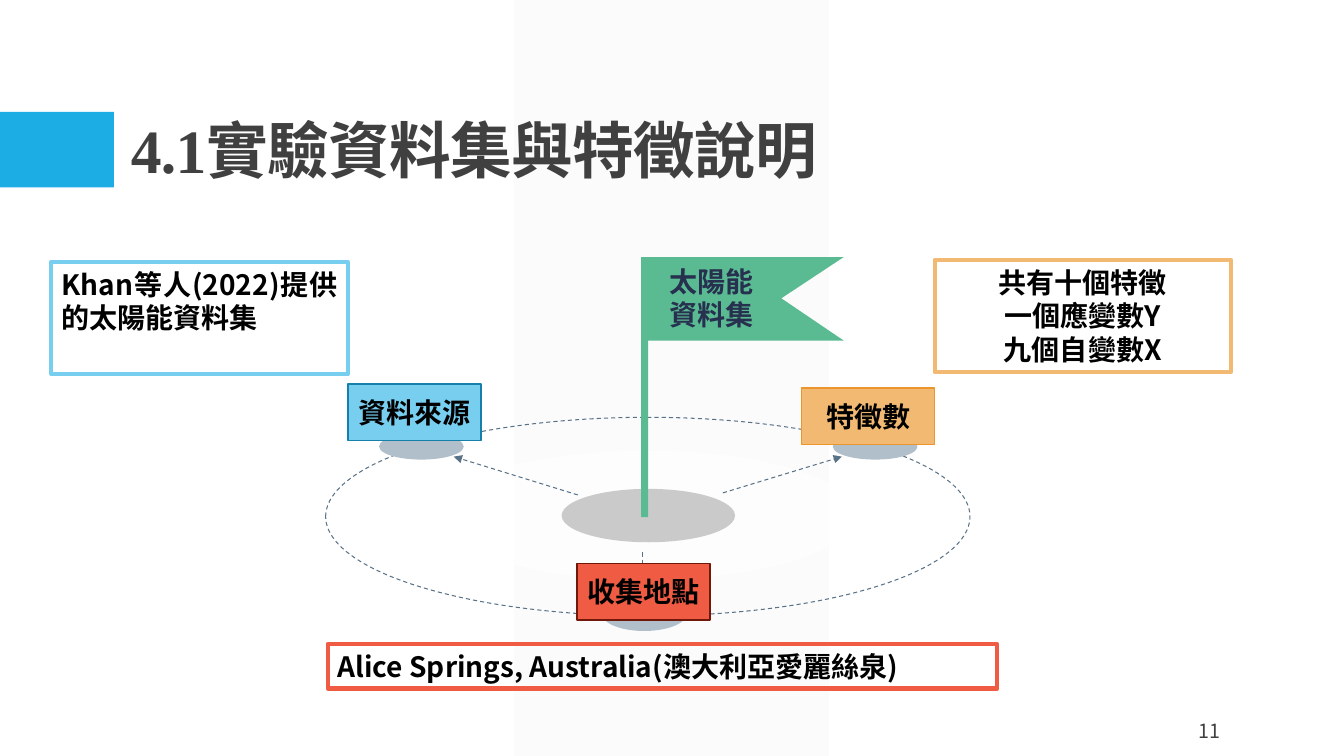
from lxml import etree
from pptx import Presentation
from pptx.dml.color import RGBColor
from pptx.enum.dml import MSO_LINE
from pptx.enum.shapes import MSO_CONNECTOR, MSO_SHAPE
from pptx.enum.text import MSO_ANCHOR, PP_ALIGN
from pptx.oxml.ns import qn
from pptx.util import Inches, Pt

RECT, OVAL = MSO_SHAPE.RECTANGLE, MSO_SHAPE.OVAL
LEFT, MID, RIGHT, JUST = PP_ALIGN.LEFT, PP_ALIGN.CENTER, PP_ALIGN.RIGHT, PP_ALIGN.JUSTIFY
TOP, CENTER, BASE = MSO_ANCHOR.TOP, MSO_ANCHOR.MIDDLE, MSO_ANCHOR.BOTTOM
SANS, SERIF = "Noto Sans CJK SC", "Times New Roman"

HUES = {
    "band": "F2F2F2", "accent": "1CADE4", "title": "404040", "ink": "000000",
    "ring": "597287", "white": "FFFFFF", "gray": "999999", "dot": "B1BFCB",
    "flag": "5ABB93", "navy": "27304E",
    "blue": "77CEEF", "teal": "1580A9", "sand": "F2B973", "amber": "EC952C",
    "red": "EF5B43", "wine": "70190A",
}
TITLE = "4.1實驗資料集與特徵說明"
PAGE = "11"
FLAG = ["太陽能", "資料集"]
NOTES = [
    ((9.27, 2.58, 2.94, 1.11), "sand", MID, ["共有十個特徵", "一個應變數Y", "九個自變數X"]),
    ((3.25, 6.39, 6.64, 0.44), "red", JUST, ["Alice Springs, Australia(澳大利亞愛麗絲泉)"]),
    ((0.51, 2.6, 2.94, 1.11), "blue", JUST, ["Khan等人(2022)提供的太陽能資料集"]),
]
LABELS = [
    ((3.45, 3.81), "blue", "teal", "資料來源"),
    ((7.95, 3.85), "sand", "amber", "特徵數"),
    ((5.72, 5.59), "red", "wine", "收集地點"),
]
LABEL_SIZE = (1.32, 0.56)
DISCS = [
    ((4.34, 4.47, 4.15, 1.28), "white", 70),
    ((5.57, 4.85, 1.72, 0.53), "gray", 50),
    ((3.76, 4.3, 0.84, 0.26), "dot", 100),
    ((5.97, 5.92, 0.84, 0.34), "dot", 100),
    ((8.26, 4.3, 0.84, 0.26), "dot", 100),
]
ARROWS = [(6.37, 5.48, 6.37, 5.82), (7.17, 4.89, 8.35, 4.53), (5.73, 4.91, 4.5, 4.53)]
PENNANT = [(8.37, 2.55), (6.41, 2.55), (6.41, 3.38), (8.37, 3.38), (7.75, 2.96)]


def hue(name):
    return RGBColor.from_string(HUES[name])


def paint(shape, fill=None, line=None, width=1, alpha=100):
    shape.shadow.inherit = False
    if fill:
        shape.fill.solid()
        shape.fill.fore_color.rgb = hue(fill)
        if alpha < 100:
            tint = shape.fill._xPr.find(qn("a:solidFill"))[0]
            etree.SubElement(tint, qn("a:alpha")).set("val", str(alpha * 1000))
    else:
        shape.fill.background()
    if line:
        shape.line.color.rgb = hue(line)
        shape.line.width = Pt(width)
    else:
        shape.line.fill.background()
    return shape


def draw(slide, kind, box, **style):
    return paint(slide.shapes.add_shape(kind, *map(Inches, box)), **style)


def write(shape, lines, size=20, color="ink", align=MID, anchor=TOP,
          bold=True, face=SANS, pitch=None, track=0):
    frame = shape.text_frame
    frame.word_wrap = True
    frame.vertical_anchor = anchor
    frame.text = "\n".join(lines)
    for para in frame.paragraphs:
        para.alignment = align
        if pitch:
            para.line_spacing = pitch
        font = para.font
        font.name, font.size, font.bold = face, Pt(size), bold
        font.color.rgb = hue(color)
        etree.SubElement(font._rPr, qn("a:ea")).set("typeface", SANS)
        if track:
            font._rPr.set("spc", str(track))


def label(slide, box, lines, **style):
    write(slide.shapes.add_textbox(*map(Inches, box)), lines, **style)


def arrow(slide, ends):
    link = slide.shapes.add_connector(MSO_CONNECTOR.STRAIGHT, *map(Inches, ends))
    link.line.color.rgb = hue("ring")
    link.line.width = Pt(0.75)
    link.line.dash_style = MSO_LINE.DASH
    etree.SubElement(link.line._get_or_add_ln(), qn("a:tailEnd")).set("type", "triangle")
    etree.SubElement(link._element.spPr, qn("a:effectLst"))


def main():
    """Build the dataset slide with its flag, ring and notes."""
    deck = Presentation()
    deck.slide_width, deck.slide_height = Inches(13.33), Inches(7.5)
    slide = deck.slides.add_slide(deck.slide_layouts[6])

    draw(slide, RECT, (5.1, 0, 3.12, 7.5), fill="band", alpha=30)
    draw(slide, RECT, (0, 1.11, 1.13, 0.75), fill="accent")
    label(slide, (1.2, 0.31, 11, 1.59), [TITLE], size=44, color="title",
          align=LEFT, anchor=BASE, face=SERIF, pitch=0.9, track=-50)
    label(slide, (11.35, 7.05, 0.85, 0.4), [PAGE], size=14, color="title",
          align=RIGHT, anchor=CENTER, bold=False, face="Noto Sans CJK TC")

    ring = draw(slide, OVAL, (3.23, 4.14, 6.39, 1.97), line="ring", width=0.75)
    ring.line.dash_style = MSO_LINE.DASH
    for box, fill, alpha in DISCS:
        draw(slide, OVAL, box, fill=fill, alpha=alpha)
    for ends in ARROWS:
        arrow(slide, ends)

    start, *rest = [(Inches(x), Inches(y)) for x, y in PENNANT]
    path = slide.shapes.build_freeform(*start)
    path.add_line_segments(rest, close=True)
    paint(path.convert_to_shape(), fill="flag")
    draw(slide, RECT, (6.36, 2.55, 0.07, 2.58), fill="flag")
    label(slide, (6.31, 2.57, 1.49, 0.65), FLAG, color="navy", pitch=Pt(24))

    for box, line, align, lines in NOTES:
        write(draw(slide, RECT, box, line=line, width=3), lines, align=align, pitch=Pt(24))
    for spot, fill, line, text in LABELS:
        tag = draw(slide, RECT, spot + LABEL_SIZE, fill=fill, line=line, width=1.25)
        write(tag, [text], anchor=CENTER, pitch=Pt(24))
    deck.save("out.pptx")


if __name__ == "__main__":
    main()
